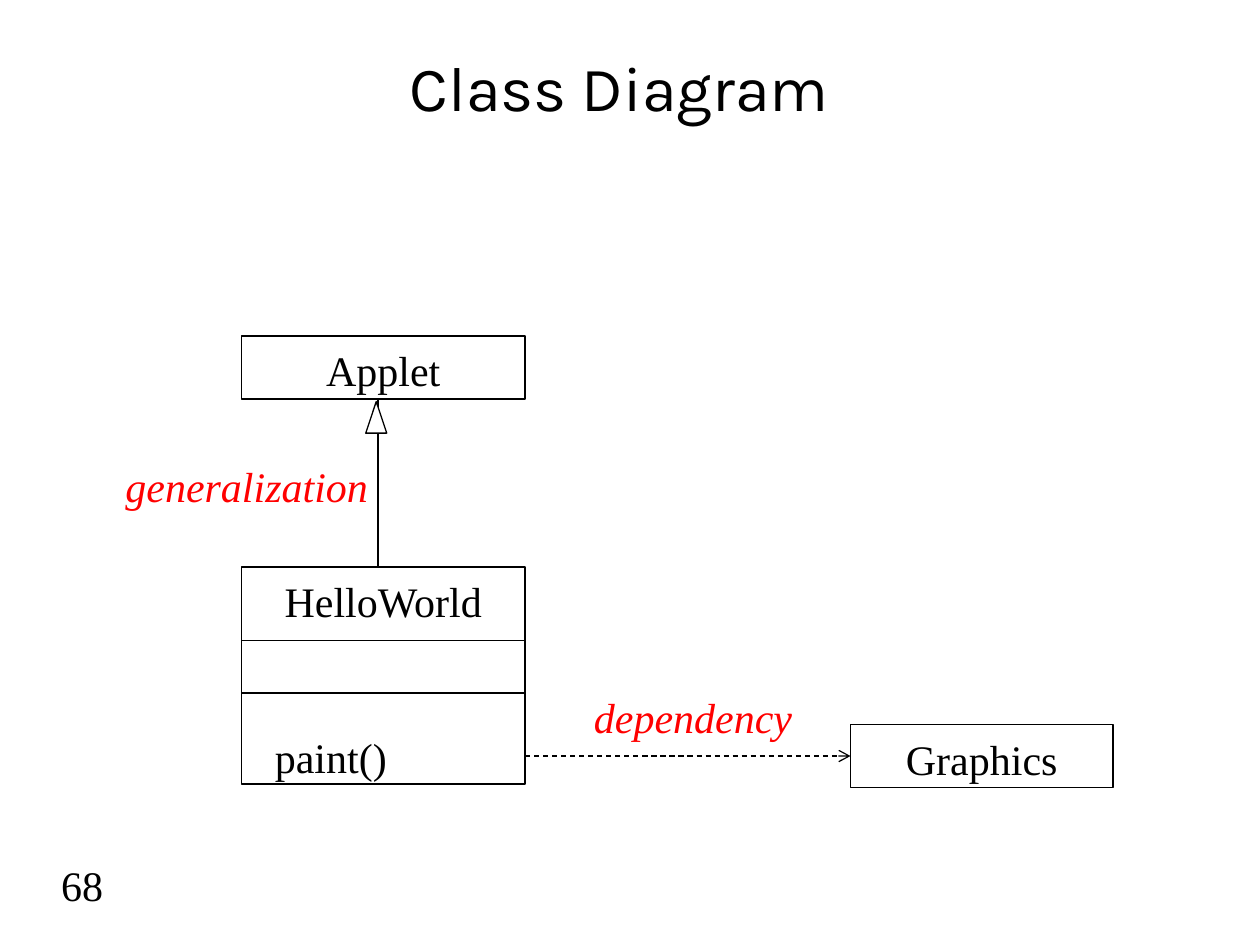
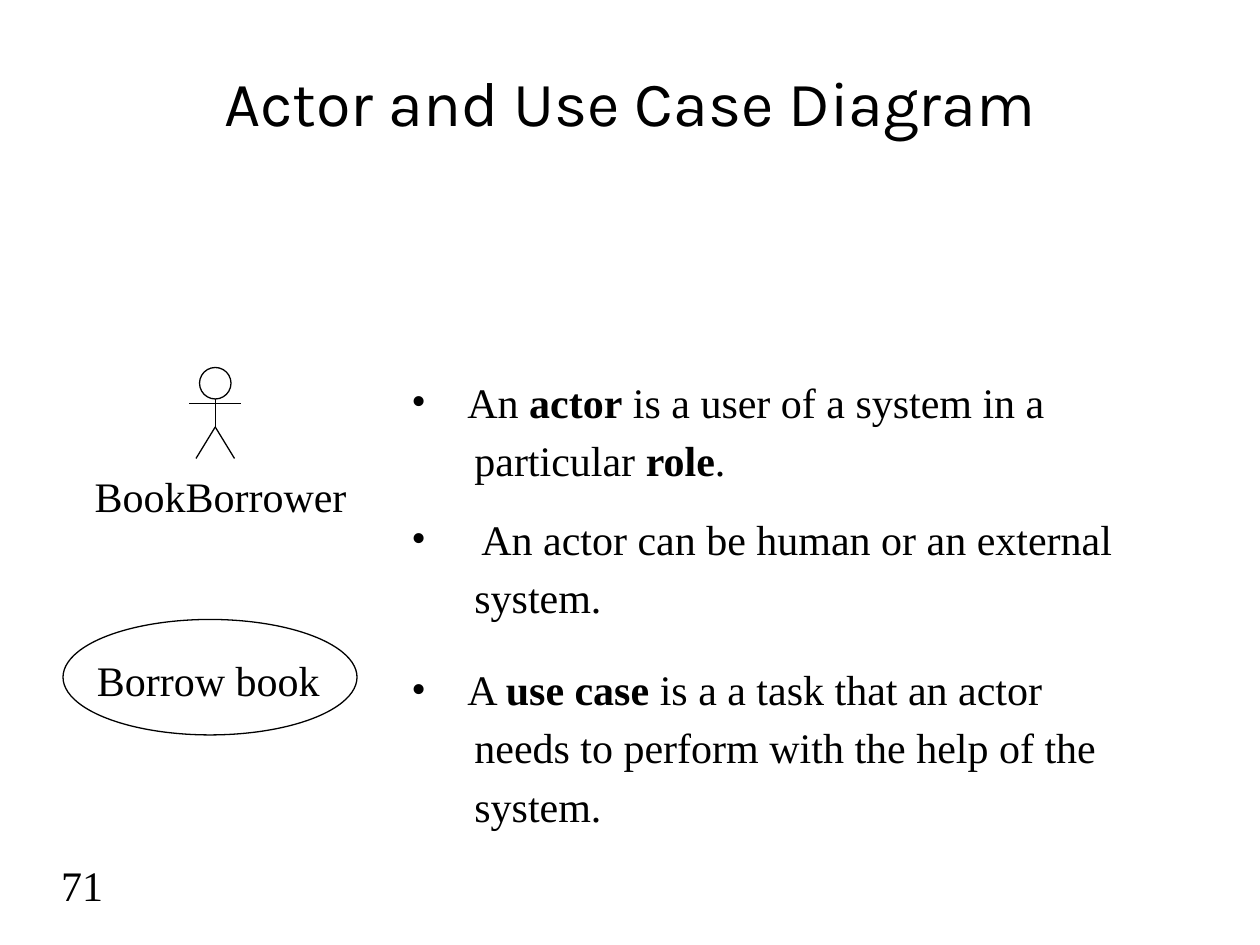
from lxml import etree
from pptx import Presentation
from pptx.dml.color import RGBColor
from pptx.enum.dml import MSO_LINE
from pptx.enum.shapes import MSO_CONNECTOR, MSO_SHAPE as SHAPE
from pptx.enum.text import MSO_ANCHOR as ANCHOR, PP_ALIGN as ALIGN
from pptx.oxml.ns import qn
from pptx.util import Pt

COLORS = {"ink": "000000", "label": "FF0000", "paper": "FFFFFF"}
TITLE_FONT, BODY_FONT = "Karla", "Times New Roman"
LINE_WIDTH = 0.75
LINE_SPACING = 1.05


def rgb(name):
    return RGBColor.from_string(COLORS[name])


def style(font, size=24, name=BODY_FONT, color="ink", bold=False, italic=False):
    font.size, font.name = Pt(size), name
    font.bold, font.italic = bold, italic
    font.color.rgb = rgb(color)


def add_text(slide, box, text, align=ALIGN.CENTER, anchor=ANCHOR.TOP, **font):
    s = slide.shapes.add_textbox(*map(Pt, box))
    tf = s.text_frame
    tf.word_wrap = True
    tf.vertical_anchor = anchor
    tf.text = text
    p = tf.paragraphs[0]
    p.alignment, p.line_spacing = align, LINE_SPACING
    style(p.runs[0].font, **font)
    return s


def add_outline(slide, kind, box, fill=None):
    s = slide.shapes.add_shape(kind, *map(Pt, box))
    s.shadow.inherit = False
    if fill:
        s.fill.solid()
        s.fill.fore_color.rgb = rgb(fill)
    else:
        s.fill.background()
    s.line.color.rgb = rgb("ink")
    s.line.width = Pt(LINE_WIDTH)
    return s


def add_line(slide, x1, y1, x2, y2):
    c = slide.shapes.add_connector(MSO_CONNECTOR.STRAIGHT, *map(Pt, (x1, y1, x2, y2)))
    c.line.color.rgb = rgb("ink")
    c.line.width = Pt(LINE_WIDTH)
    etree.SubElement(c._element.spPr, qn("a:effectLst"))
    return c


def add_frame(prs, title, title_box, number):
    """Blank slide with its title and page number."""
    slide = prs.slides.add_slide(prs.slide_layouts[6])
    add_text(slide, title_box, title, anchor=ANCHOR.MIDDLE, size=36, name=TITLE_FONT)
    add_text(slide, (12, 486, 54, 36), number, align=ALIGN.RIGHT)
    return slide


def add_class(slide, box, name, method=None):
    """UML class; with a method, it gets three compartments."""
    x, y, w, h = box
    s = add_outline(slide, SHAPE.RECTANGLE, box)
    tf = s.text_frame
    tf.vertical_anchor = ANCHOR.TOP
    tf.text = name
    p = tf.paragraphs[0]
    p.alignment = ALIGN.CENTER
    if method:
        p = tf.add_paragraph()
        p.text = method
        p.alignment = ALIGN.LEFT
        p.space_before = Pt(59)
        p._p.get_or_add_pPr().set("marL", str(Pt(12)))
        for dy in (42, 72):
            add_line(slide, x, y + dy, x + w, y + dy)
    for p in tf.paragraphs:
        p.line_spacing = LINE_SPACING
        style(p.runs[0].font)
    return s


def add_generalization(slide, x, child_y, parent_y):
    add_line(slide, x, child_y, x, parent_y)
    add_outline(slide, SHAPE.ISOSCELES_TRIANGLE, (x - 7, parent_y + 1.5, 12, 18), "paper")


def add_dependency(slide, x, y, target):
    c = add_line(slide, x, y, x, y)
    c.end_connect(target, 1)
    c.line.dash_style = MSO_LINE.DASH
    etree.SubElement(c.line._get_or_add_ln(), qn("a:tailEnd"), type="arrow")


def add_actor(slide, box):
    """Stick figure filling the box."""
    x, y, w, h = box
    mid, hip = x + w / 2, y + 34
    add_outline(slide, SHAPE.OVAL, (mid - 9, y, 18, 18))
    add_line(slide, mid, y + 18, mid, hip)
    add_line(slide, x, y + 20.5, x + w, y + 20.5)
    for dx in (-11, 11):
        add_line(slide, mid, hip, mid + dx, y + h)


def add_definitions(slide, box, lines):
    """Lines of (bulleted, indent, space before, runs); odd runs are bold."""
    tf = slide.shapes.add_textbox(*map(Pt, box)).text_frame
    tf.word_wrap = True
    for i, (bulleted, indent, before, runs) in enumerate(lines):
        p = tf.add_paragraph() if i else tf.paragraphs[0]
        p.line_spacing = LINE_SPACING
        if i:
            p.space_before = Pt(before)
        pPr = p._p.get_or_add_pPr()
        pPr.set("marL", str(Pt(indent)))
        pPr.set("indent", str(Pt(-indent if bulleted else 0)))
        if bulleted:
            etree.SubElement(pPr, qn("a:buFont"), typeface=BODY_FONT)
            etree.SubElement(pPr, qn("a:buChar"), char="•")
        for j, text in enumerate(runs):
            r = p.add_run()
            r.text = text
            style(r.font, bold=j % 2 == 1)


def class_slide(prs):
    slide = add_frame(prs, "Class Diagram", (48, 12, 612, 72), "68")
    # Classes
    add_class(slide, (138, 192, 162, 36), "Applet")
    add_class(slide, (138, 324, 162, 124), "HelloWorld", "paint()")
    graphics = add_class(slide, (486, 414, 150, 36), "Graphics")
    # Relations and their names
    add_generalization(slide, 216, 324, 228)
    add_dependency(slide, 300, 432, graphics)
    for box, text in (((48, 258, 186, 36), "generalization"),
                      ((282, 390, 228, 36), "dependency")):
        add_text(slide, box, text, color="label", italic=True)


def use_case_slide(prs):
    slide = add_frame(prs, "Actor and Use Case Diagram", (54, 12, 612, 90), "71")
    # Actor and use case
    add_actor(slide, (108, 210, 30, 52))
    add_text(slide, (42, 264, 168, 36), "BookBorrower")
    add_outline(slide, SHAPE.OVAL, (36, 354, 168, 66))
    add_text(slide, (38, 369, 162, 36), "Borrow book")
    # Definitions
    add_definitions(slide, (228, 210, 450, 258), [
        (True, 32, 0, ["An ", "actor", " is a user of a system in a"]),
        (False, 36, 3, ["particular ", "role", "."]),
        (True, 40, 15, ["An actor can be human or an external"]),
        (False, 36, 3, ["system."]),
        (True, 32, 22.5, ["A ", "use case", " is a a task that an actor"]),
        (False, 36, 3, ["needs to perform with the help of the"]),
        (False, 36, 3, ["system."]),
    ])


def main():
    prs = Presentation()
    prs.slide_width, prs.slide_height = Pt(720), Pt(540)
    class_slide(prs)
    use_case_slide(prs)
    prs.save("out.pptx")


if __name__ == "__main__":
    main()
